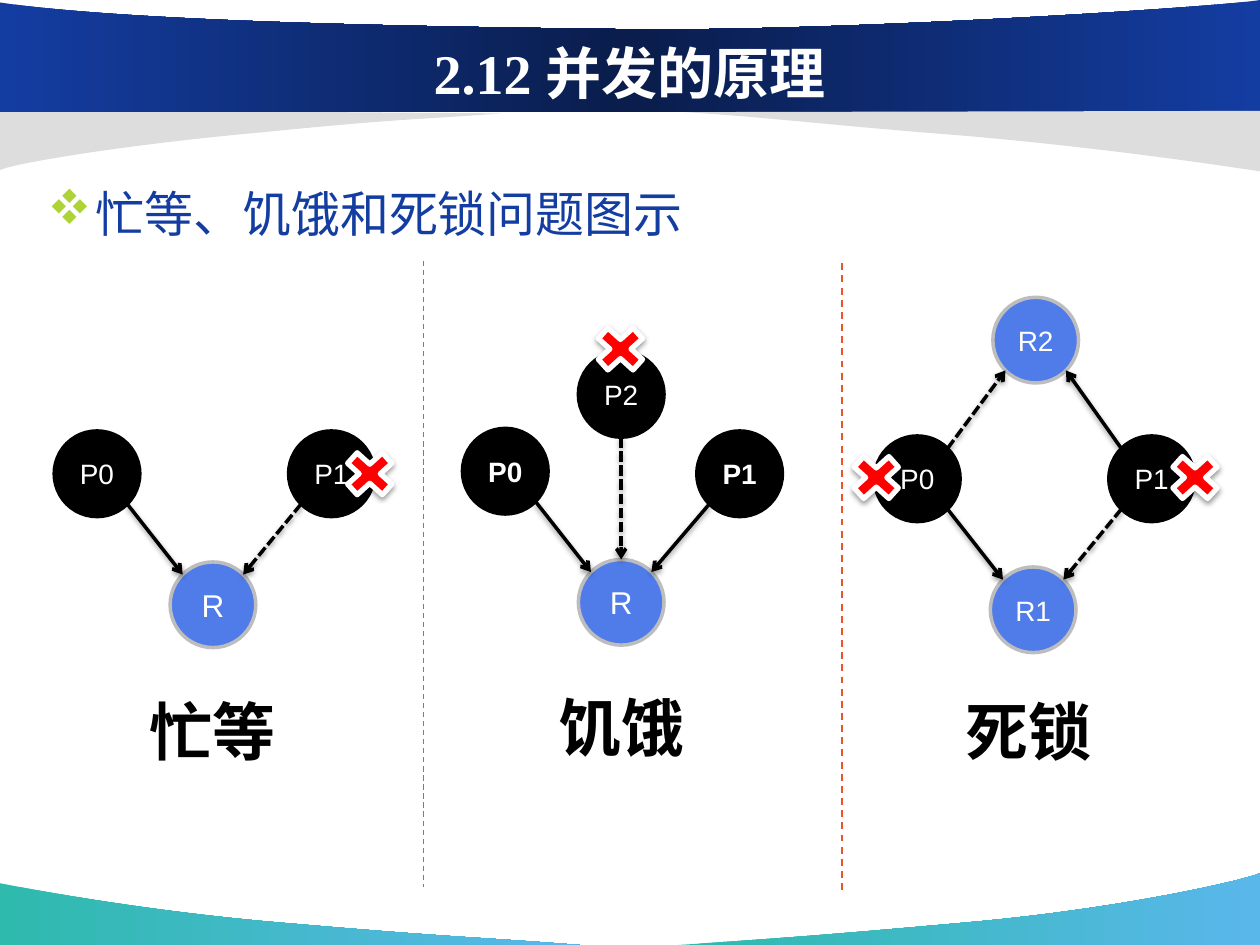
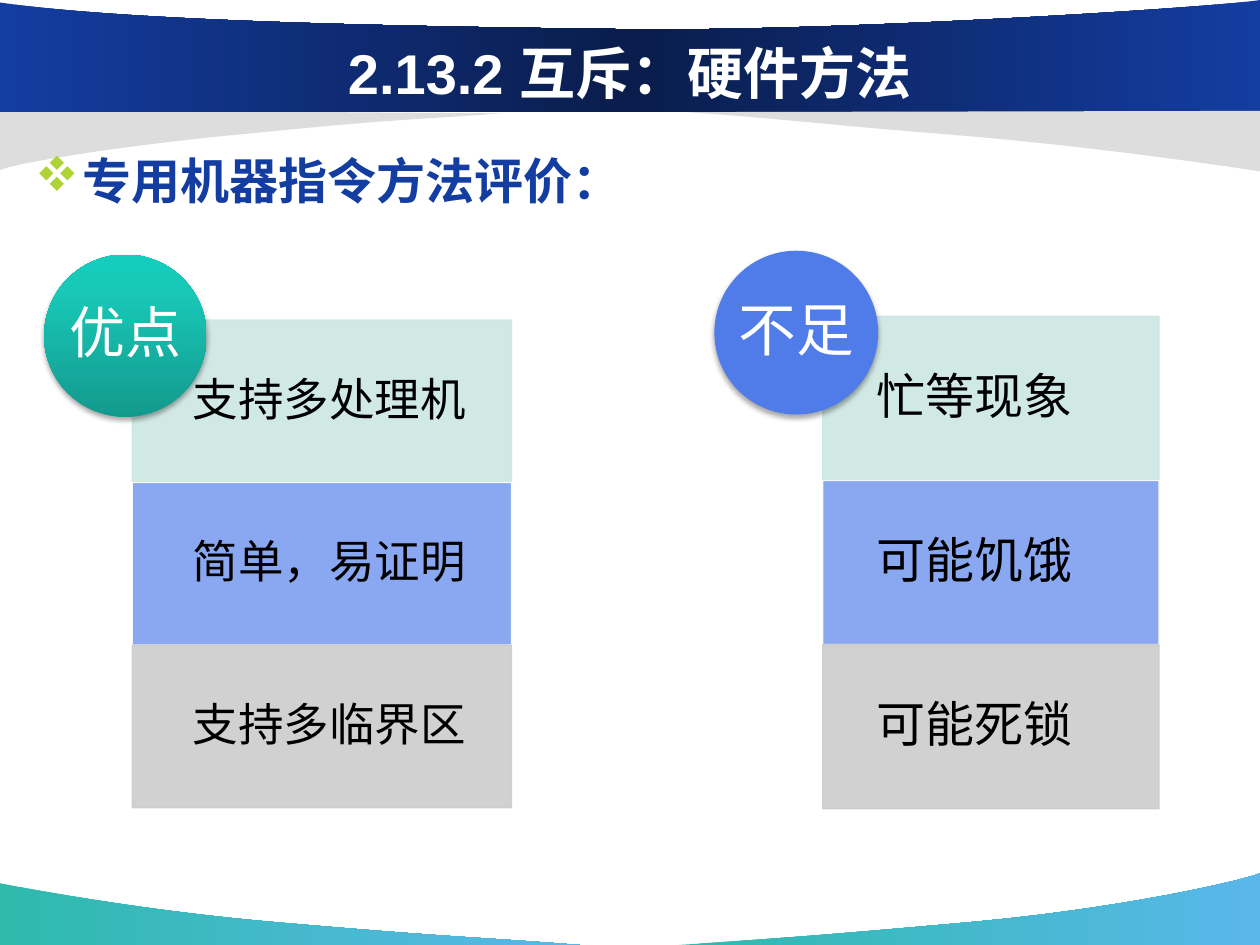
from pptx import Presentation
from pptx.dml.color import RGBColor
from pptx.enum.dml import MSO_LINE as Dash
from pptx.enum.shapes import MSO_CONNECTOR as Link, MSO_SHAPE as Kind
from pptx.enum.text import MSO_ANCHOR as Anchor, PP_ALIGN as Align
from pptx.oxml import parse_xml
from pptx.oxml.ns import nsdecls, qn
from pptx.util import Inches, Pt

COLORS = {
    "white": "FFFFFF", "black": "000000", "navy": "143DA2", "deep": "0A1D4C",
    "teal": "2EBAAD", "sky": "5AB7EA", "pale": "DDDDDD", "lime": "AED337",
    "blue": "507CE9", "ring": "BDBDBD", "red": "FF0000", "orange": "EB5525",
    "mint": "CDE7E3", "periwinkle": "8AA8F1", "silver": "CCCCCC",
    "green": "139A8E", "aqua": "18C9B8", "bright": "15CDBC",
}

FOOTER_FILL = [(0, "teal"), (100, "sky")]
HEADER_FILL = [(0, "navy"), (50, "deep"), (100, "navy")]
BANDS = [
    (FOOTER_FILL, [(4.6, 7.5), (3.84, 7.44, 3.58, 7.44, 2.32, 7.33),
                   (1.06, 7.23, 0.01, 7.01, 0, 7.01), (0, 7.5)]),
    (FOOTER_FILL, [(5.39, 7.5), (6.14, 7.45, 6.46, 7.43, 7.69, 7.32),
                   (8.92, 7.21, 9.9, 6.98, 10, 6.93), (10, 7.5)]),
    ("pale", [(3.98, 0.9), (3.31, 0.95, 3.18, 0.94, 2.08, 1.05),
              (0.97, 1.15, 0.09, 1.3, 0, 1.35), (0, 0.87)]),
    (HEADER_FILL, [(0, 0.89), (10, 0.89), (10, 0),
                   (9.64, 0.06, 6.53, 0.26, 4.87, 0.23),
                   (3.21, 0.21, 1.01, 0.17, 0, 0.02)]),
    ("pale", [(5.44, 0.89), (6.2, 0.94, 6.42, 0.98, 7.68, 1.08),
              (8.94, 1.19, 9.99, 1.36, 10, 1.36), (10, 0.88)]),
]

NODE = 0.68
SITE = 0.24
CROSS = (0.53, 0.48)
NODE_STYLES = {"P": ("black", "black"), "R": ("blue", "ring")}
DIAGRAMS = [
    {"label": ("忙等", 1.08, 5.44),
     "nodes": {"R": (1.35, 4.46, 18, False), "P0": (0.43, 3.42, 16, False),
               "P1": (2.29, 3.42, 16, False)},
     "edges": [("P0", "R", False), ("P1", "R", True)],
     "crosses": [(2.67, 3.52)]},
    {"label": ("饥饿", 4.32, 5.41),
     "nodes": {"R": (4.59, 4.44, 18, False), "P0": (3.67, 3.4, 16, True),
               "P2": (4.59, 2.79, 16, False), "P1": (5.53, 3.42, 16, True)},
     "edges": [("P0", "R", False), ("P2", "R", True), ("P1", "R", False)],
     "crosses": [(4.66, 2.53)]},
    {"label": ("死锁", 7.55, 5.44),
     "nodes": {"R1": (7.86, 4.5, 16, False), "P0": (6.94, 3.46, 16, False),
               "P1": (8.8, 3.46, 16, False), "R2": (7.88, 2.36, 16, False)},
     "edges": [("P0", "R1", False), ("P1", "R1", True),
               ("P1", "R2", False), ("P0", "R2", True)],
     "crosses": [(6.69, 3.55), (9.22, 3.55)]},
]
DIVIDERS = [(3.36, 2.07, 0.75), (6.68, 2.09, 1)]
DIVIDER_HEIGHT = 4.97

BAR_STYLES = [("mint", "mint", 90), ("periwinkle", "white", 100), ("silver", "silver", 90)]
PANELS = [
    {"badge": ("不足", 5.67, 1.99, 1.3, 33, "blue"),
     "bars": (6.53, 2.51, 2.67, 6.42), "indent": 0.43, "size": 28,
     "items": ["忙等现象", "可能饥饿", "可能死锁"]},
    {"badge": ("优点", 0.35, 2.02, 1.29, 32, [(0, "green"), (80, "aqua"), (100, "bright")]),
     "bars": (1.05, 2.54, 3.01, 6.41), "indent": 0.48, "size": 26,
     "items": ["支持多处理机", "简单，易证明", "支持多临界区"]},
]


def rgb(name):
    return RGBColor.from_string(COLORS[name])


def set_shadow(shape, opacity=0, distance=1.6):
    props = shape._element.spPr
    for old in props.findall(qn("a:effectLst")):
        props.remove(old)
    shade = ""
    if opacity:
        shade = (f'<a:outerShdw blurRad="{Pt(3.1)}" dist="{Pt(distance)}" dir="5400000" '
                 f'rotWithShape="0"><a:srgbClr val="{COLORS["black"]}">'
                 f'<a:alpha val="{opacity * 1000}"/></a:srgbClr></a:outerShdw>')
    props.append(parse_xml(f'<a:effectLst {nsdecls("a")}>{shade}</a:effectLst>'))


def set_fill(shape, fill, angle=0):
    if isinstance(fill, str):
        shape.fill.solid()
        shape.fill.fore_color.rgb = rgb(fill)
        return
    shape.fill.background()
    props = shape._element.spPr
    stops = "".join(f'<a:gs pos="{at * 1000}"><a:srgbClr val="{COLORS[name]}"/></a:gs>'
                    for at, name in fill)
    props.replace(props.find(qn("a:noFill")), parse_xml(
        f'<a:gradFill {nsdecls("a")} rotWithShape="1"><a:gsLst>{stops}</a:gsLst>'
        f'<a:lin ang="{angle * 60000}" scaled="0"/></a:gradFill>'))


def set_line(shape, color=None, width=1):
    if color is None:
        shape.line.fill.background()
    else:
        shape.line.color.rgb = rgb(color)
        shape.line.width = Pt(width)


def set_opacity(holder, percent):
    color = holder.find(qn("a:solidFill")).find(qn("a:srgbClr"))
    color.append(parse_xml(f'<a:alpha {nsdecls("a")} val="{percent * 1000}"/>'))


def add_shape(page, kind, place, fill, line=None, width=1, angle=0):
    shape = page.shapes.add_shape(kind, *map(Inches, place))
    set_fill(shape, fill, angle)
    set_line(shape, line, width)
    set_shadow(shape)
    return shape


def add_line(page, start, end, color, width, dash=None):
    line = page.shapes.add_connector(Link.STRAIGHT, *map(Inches, (*start, *end)))
    set_line(line, color, width)
    if dash is not None:
        line.line.dash_style = dash
    set_shadow(line)
    return line


def write(box, spans, size, color, bold=False, align=Align.CENTER,
          anchor=Anchor.MIDDLE, wrap=False, spacing=None):
    frame = box.text_frame
    frame.word_wrap = wrap
    frame.vertical_anchor = anchor
    para = frame.paragraphs[0]
    para.alignment = align
    if spacing:
        para.line_spacing = spacing
    for text, font in spans:
        span = para.add_run()
        span.text = text
        span.font.name = font
        span.font.size = Pt(size)
        span.font.bold = bold
        span.font.color.rgb = rgb(color)


def add_band(page, fill, steps):
    start, *ends = [(Inches(step[-2]), Inches(step[-1])) for step in steps]
    outline = page.shapes.build_freeform(*start)
    outline.add_line_segments(ends, close=True)
    band = outline.convert_to_shape()
    segments = list(band._element.spPr.iter(qn("a:lnTo")))
    for segment, step in zip(segments, steps[1:]):
        if len(step) == 6:
            points = "".join(
                f'<a:pt x="{Inches(x) - band.left}" y="{Inches(y) - band.top}"/>'
                for x, y in zip(step[::2], step[1::2]))
            segment.getparent().replace(segment, parse_xml(
                f'<a:cubicBezTo {nsdecls("a")}>{points}</a:cubicBezTo>'))
    set_fill(band, fill)
    set_line(band)
    set_shadow(band)


def new_page(deck, title):
    page = deck.slides.add_slide(deck.slide_layouts[6])
    for fill, steps in BANDS:
        add_band(page, fill, steps)
    box = page.shapes.add_textbox(*map(Inches, (0.5, 0.06, 9, 1.02)))
    write(box, title, 32, "white", bold=True, wrap=True)
    return page


def add_heading(page, text, place, bold=False):
    box = page.shapes.add_textbox(*map(Inches, place))
    props = box.text_frame.paragraphs[0]._p.get_or_add_pPr()
    props.set("marL", str(Inches(0.38)))
    props.set("indent", str(Inches(-0.38)))
    props.append(parse_xml(f'<a:buClr {nsdecls("a")}><a:srgbClr val="{COLORS["lime"]}"/></a:buClr>'))
    props.append(parse_xml(f'<a:buFont {nsdecls("a")} typeface="Wingdings" charset="2"/>'))
    props.append(parse_xml(f'<a:buChar {nsdecls("a")} char="v"/>'))
    write(box, [(text, "Arial")], 28, "navy", bold, Align.LEFT, Anchor.TOP, True, 1.2)


def add_edge(page, source, target, waiting):
    (x1, y1), (x2, y2) = [(node[0] + NODE / 2, node[1] + NODE / 2)
                          for node in (source, target)]
    across = (x2 > x1) - (x2 < x1)
    down = 1 if y2 > y1 else -1
    reach = SITE if across else NODE / 2
    line = add_line(page, (x1 + across * reach, y1 + down * reach),
                    (x2 - across * reach, y2 - down * reach),
                    "black", 2, Dash.SQUARE_DOT if waiting else None)
    line._element.spPr.find(qn("a:ln")).append(
        parse_xml(f'<a:tailEnd {nsdecls("a")} type="arrow"/>'))
    set_shadow(line, 38)


def add_diagram(page, diagram):
    nodes = diagram["nodes"]
    for name, (left, top, size, bold) in nodes.items():
        fill, ring = NODE_STYLES[name[0]]
        circle = add_shape(page, Kind.FLOWCHART_CONNECTOR, (left, top, NODE, NODE), fill, ring, 2)
        write(circle, [(name, "Arial")], size, "white", bold)
    for source, target, waiting in diagram["edges"]:
        add_edge(page, nodes[source], nodes[target], waiting)
    for spot in diagram["crosses"]:
        cross = add_shape(page, Kind.MATH_MULTIPLY, (*spot, *CROSS), "red", "white", 3)
        set_shadow(cross, 38)
    text, left, top = diagram["label"]
    label = page.shapes.add_textbox(*map(Inches, (left, top, 1.22, 0.71)))
    write(label, [(text, "Arial")], 36, "black", bold=True)


def add_panel(page, panel):
    left, top, width, bottom = panel["bars"]
    height = (bottom - top) / len(panel["items"])
    for row, (text, (fill, edge, opacity)) in enumerate(zip(panel["items"], BAR_STYLES)):
        bar = add_shape(page, Kind.RECTANGLE, (left, top + row * height, width, height),
                        fill, edge, 0.75)
        props = bar._element.spPr
        set_opacity(props, opacity)
        set_opacity(props.find(qn("a:ln")), 90)
        bar.text_frame.margin_left = Inches(panel["indent"])
        bar.text_frame.margin_right = Inches(0.2)
        write(bar, [(text, "Arial")], panel["size"], "black",
              align=Align.LEFT, wrap=True, spacing=0.9)
    text, left, top, side, size, fill = panel["badge"]
    badge = add_shape(page, Kind.OVAL, (left, top, side, side), fill, angle=270)
    set_shadow(badge, 35, 1.8)
    frame = badge.text_frame
    frame.margin_left = frame.margin_right = frame.margin_top = frame.margin_bottom = 0
    write(badge, [(text, "Arial")], size, "white", spacing=0.9)


def main():
    deck = Presentation()
    deck.slide_width, deck.slide_height = Inches(10), Inches(7.5)

    page = new_page(deck, [("2.12 并发的原理", "Times New Roman")])
    add_heading(page, "忙等、饥饿和死锁问题图示", (0.28, 1.31, 9, 4.95))
    for left, top, width in DIVIDERS:
        add_line(page, (left, top), (left, top + DIVIDER_HEIGHT), "orange", width, Dash.DASH)
    for diagram in DIAGRAMS:
        add_diagram(page, diagram)

    page = new_page(deck, [("2.13.2 ", "Arial"), ("互斥：硬件方法", "Times New Roman")])
    for panel in PANELS:
        add_panel(page, panel)
    add_heading(page, "专用机器指令方法评价：", (0.18, 1.05, 9.65, 0.91), bold=True)

    deck.save("out.pptx")


if __name__ == "__main__":
    main()
